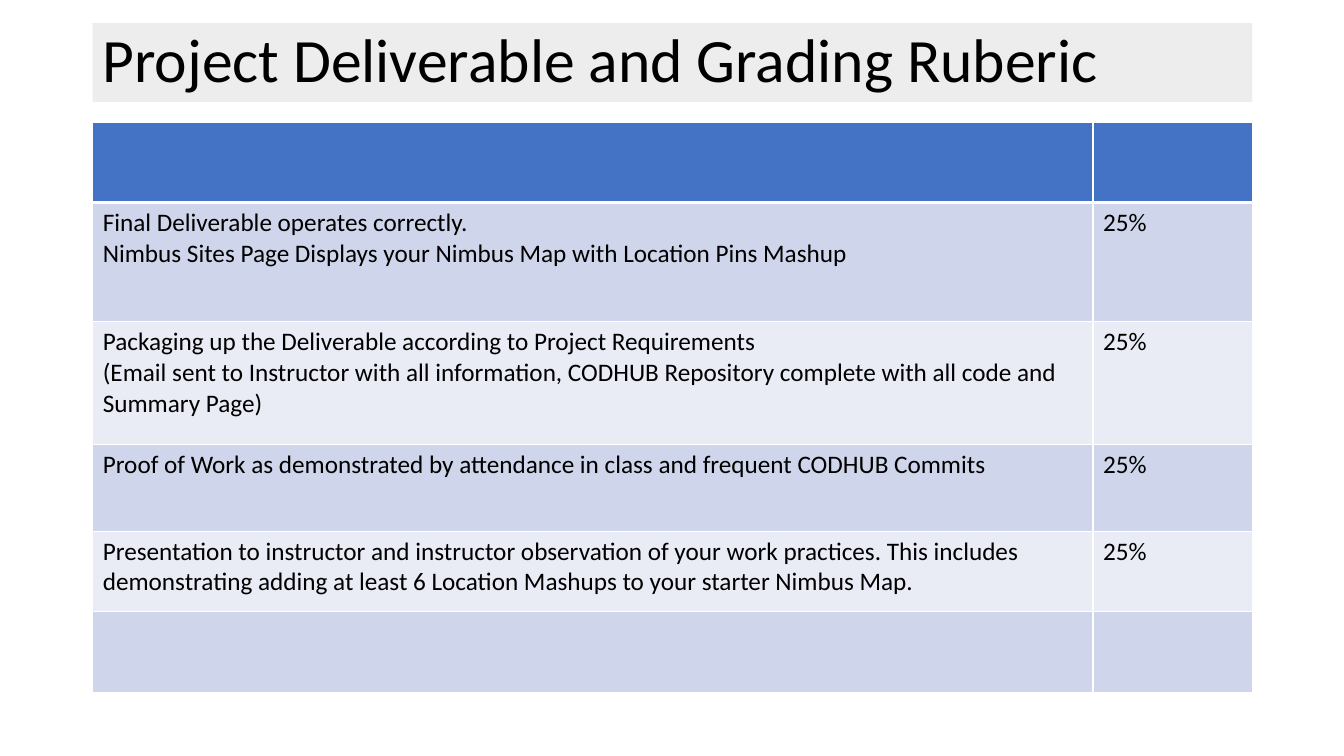
from dataclasses import dataclass
from lxml import etree
from pptx import Presentation
from pptx.dml.color import RGBColor
from pptx.enum.shapes import MSO_SHAPE
from pptx.enum.text import MSO_ANCHOR, PP_ALIGN
from pptx.oxml.ns import qn
from pptx.util import Inches, Pt

RECT = MSO_SHAPE.RECTANGLE
MIDDLE = MSO_ANCHOR.MIDDLE
LEFT = PP_ALIGN.LEFT

TITLE = "Project Deliverable and Grading Ruberic"
ROWS = [
    (0.8, [], ""),
    (1.18, ["Final Deliverable operates correctly.",
            "Nimbus Sites Page Displays your Nimbus Map with Location Pins Mashup"], "25%"),
    (1.22, ["Packaging up the Deliverable according to Project Requirements",
            "(Email sent to Instructor with all information, CODHUB Repository complete "
            "with all code and Summary Page)"], "25%"),
    (0.86, ["Proof of Work as demonstrated by attendance in class and frequent CODHUB Commits"], "25%"),
    (0.8, ["Presentation to instructor and instructor observation of your work practices. "
           "This includes demonstrating adding at least 6 Location Mashups to your "
           "starter Nimbus Map."], "25%"),
    (0.8, [], ""),
]
COLS = (9.92, 1.58)
MARGIN, TITLE_TOP, TITLE_H, TABLE_TOP = 0.92, 0.23, 0.78, 1.21


@dataclass(frozen=True)
class Theme:
    font: str = "Calibri"
    title_size: int = 44
    body_size: int = 18
    text: str = "000000"
    panel: str = "EDEDED"
    header: str = "4472C4"
    bands: tuple = ("CFD5EA", "E9EBF5")
    rule: str = "FFFFFF"


T = Theme()


def paint(target, color):
    target.fill.solid()
    target.fill.fore_color.rgb = RGBColor.from_string(color)


def write(tf, lines, size=T.body_size, spacing=None):
    for i, line in enumerate(lines or [""]):
        p = tf.paragraphs[0] if i == 0 else tf.add_paragraph()
        p.alignment = LEFT
        p.line_spacing = spacing
        p.font.size = Pt(size)
        if line:
            r = p.add_run()
            r.text = line
            r.font.name = T.font
            r.font.size = Pt(size)
            r.font.color.rgb = RGBColor.from_string(T.text)


def border(cell, **widths):
    tcPr = cell._tc.get_or_add_tcPr()
    for side, width in widths.items():
        ln = etree.SubElement(tcPr, qn(f"a:ln{side}"), w=str(Pt(width)))
        fill = etree.SubElement(ln, qn("a:solidFill"))
        etree.SubElement(fill, qn("a:srgbClr"), val=T.rule)


prs = Presentation()
prs.slide_width, prs.slide_height = Inches(13.33), Inches(7.5)
s = prs.slides.add_slide(prs.slide_layouts[6])
width = Inches(sum(COLS))

sp = s.shapes.add_shape(RECT, Inches(MARGIN), Inches(TITLE_TOP), width, Inches(TITLE_H))
sp.shadow.inherit = False
sp.line.fill.background()
paint(sp, T.panel)
sp.text_frame.word_wrap = True
sp.text_frame.vertical_anchor = MIDDLE
write(sp.text_frame, [TITLE], size=T.title_size, spacing=0.9)

height = Inches(sum(h for h, _, _ in ROWS))
table = s.shapes.add_table(len(ROWS), len(COLS), Inches(MARGIN), Inches(TABLE_TOP),
                           width, height).table
for column, w in zip(table.columns, COLS):
    column.width = Inches(w)
for i, (h, criteria, weight) in enumerate(ROWS):
    table.rows[i].height = Inches(h)
    color = T.bands[(i - 1) % 2] if i else T.header
    for j, lines in enumerate((criteria, [weight])):
        cell = table.cell(i, j)
        border(cell, L=1, R=1, T=3 if i == 1 else 1, B=1 if i else 3)
        paint(cell, color)
        write(cell.text_frame, lines)

prs.save("out.pptx")
